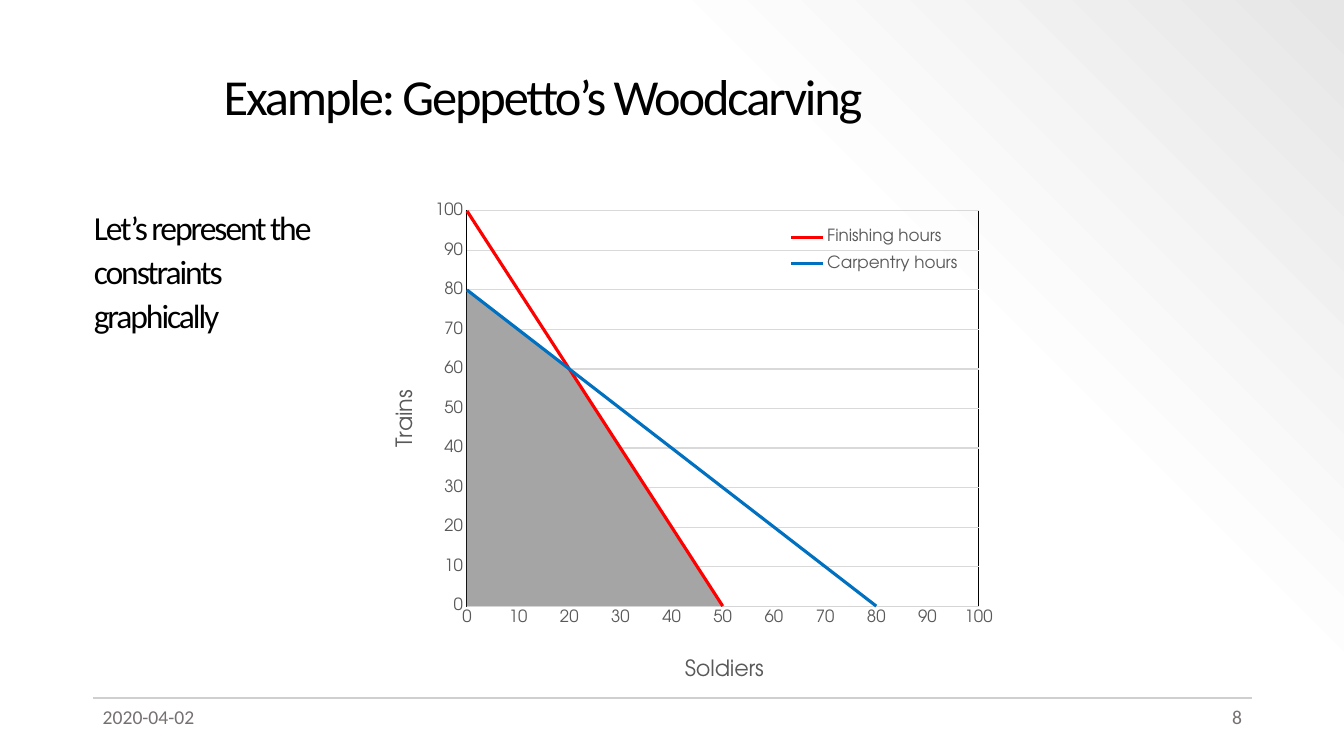
from lxml import etree
from pptx import Presentation
from pptx.chart.data import CategoryChartData
from pptx.dml.color import RGBColor
from pptx.enum.chart import XL_CHART_TYPE, XL_LEGEND_POSITION, XL_MARKER_STYLE, XL_TICK_MARK
from pptx.enum.shapes import MSO_CONNECTOR
from pptx.enum.text import MSO_ANCHOR, MSO_AUTO_SIZE, PP_ALIGN
from pptx.oxml import parse_xml
from pptx.oxml.ns import nsdecls, qn
from pptx.util import Cm, Pt

AREA = XL_CHART_TYPE.AREA
CORNER = XL_LEGEND_POSITION.CORNER
NO_MARKER = XL_MARKER_STYLE.NONE
NO_TICK = XL_TICK_MARK.NONE
STRAIGHT = MSO_CONNECTOR.STRAIGHT
TOP, MIDDLE = MSO_ANCHOR.TOP, MSO_ANCHOR.MIDDLE
NO_FIT = MSO_AUTO_SIZE.NONE
LEFT, RIGHT = PP_ALIGN.LEFT, PP_ALIGN.RIGHT

SOLDIERS = range(0, 101, 10)
FINISHING = [100 - 2 * soldiers if soldiers <= 50 else None for soldiers in SOLDIERS]
CARPENTRY = [80 - soldiers if soldiers <= 80 else None for soldiers in SOLDIERS]
FEASIBLE = [None if limit is None else min(limit, other)
            for limit, other in zip(FINISHING, CARPENTRY)]
REMAINDER = [limit if soldiers in (40, 50) else None
             for soldiers, limit in zip(SOLDIERS, FINISHING)]


def color(hex_string):
    return RGBColor.from_string(hex_string)


class SlideBuilder:
    text_font = "Calibri"
    chart_font = "TeX Gyre Adventor"
    black, gray, chart_gray, grid = "000000", "767171", "595959", "D9D9D9"

    def __init__(self, slide):
        self.slide = slide

    def style(self, font, name, size, hex_string):
        font.name, font.size, font.bold = name, Pt(size), False
        font.color.rgb = color(hex_string)

    def line(self, line_format, hex_string, width):
        line_format.color.rgb = color(hex_string)
        line_format.width = Pt(width)

    def background(self):
        stops = ((0, "FFFFFF"), (69, "FDFDFD"), (100, "E7E6E6"))
        gradient = "".join(f'<a:gs pos="{position * 1000}"><a:srgbClr val="{value}"/></a:gs>'
                           for position, value in stops)
        fill = self.slide.background.fill
        fill.solid()
        properties = self.slide._element.cSld.find(qn("p:bg")).find(qn("p:bgPr"))
        properties.replace(properties[0], parse_xml(
            f'<a:gradFill {nsdecls("a")} rotWithShape="1"><a:gsLst>{gradient}</a:gsLst>'
            f'<a:lin ang="{315 * 60000}" scaled="0"/></a:gradFill>'))

    def rule(self, left, top, width):
        connector = self.slide.shapes.add_connector(
            STRAIGHT, Cm(left), Cm(top), Cm(left + width), Cm(top))
        self.line(connector.line, "D0CECE", 1.5)
        etree.SubElement(connector._element.spPr, qn("a:effectLst"))

    def placeholder(self, shape, box, text, size, spacing, anchor, indent=0):
        shape.left, shape.top, shape.width, shape.height = map(Cm, box)
        frame = shape.text_frame
        frame.text, frame.vertical_anchor, frame.auto_size = text, anchor, NO_FIT
        paragraph = frame.paragraphs[0]
        properties = paragraph._p.get_or_add_pPr()
        properties.set("marL", str(Cm(indent)))
        properties.set("indent", "0")
        etree.SubElement(properties, qn("a:buNone"))
        paragraph.alignment, paragraph.line_spacing = LEFT, spacing
        paragraph.space_before = Pt(0)
        self.style(paragraph.font, self.text_font, size, self.black)
        paragraph.runs[0].font._element.set("spc", "-150")

    def footer(self, left, text, alignment):
        shape = self.slide.shapes.add_textbox(Cm(left), Cm(17.65), Cm(7.62), Cm(1.02))
        frame = shape.text_frame
        frame.word_wrap, frame.text = True, text
        paragraph = frame.paragraphs[0]
        paragraph.alignment = alignment
        self.style(paragraph.font, self.text_font, 14, self.gray)

    def layout(self, element, x, y, width=None, height=None):
        """Place a chart part by fractions of the chart."""
        for previous in element.findall(qn("c:layout")):
            element.remove(previous)
        inner = '<c:layoutTarget val="inner"/>' if element.tag == qn("c:plotArea") else ""
        values = {"x": x, "y": y, "w": width, "h": height}
        modes = '<c:xMode val="edge"/><c:yMode val="edge"/>'
        sizes = "".join(f'<c:{key} val="{value}"/>'
                        for key, value in values.items() if value is not None)
        layout = parse_xml(f'<c:layout {nsdecls("c")}><c:manualLayout>{inner}{modes}{sizes}'
                           '</c:manualLayout></c:layout>')
        if inner:
            element.insert(0, layout)
        else:
            element.find(qn("c:overlay")).addprevious(layout)

    def axis(self, axis, title, x, y):
        axis.major_tick_mark = axis.minor_tick_mark = NO_TICK
        self.style(axis.tick_labels.font, self.chart_font, 12, self.chart_gray)
        frame = axis.axis_title.text_frame
        frame.text = title
        self.style(frame.paragraphs[0].font, self.chart_font, 16, self.chart_gray)
        self.layout(axis.axis_title._element, x, y)

    def move_to_lines(self, plot_area, first):
        """Turn the series from index first onward into a line plot on the same axes."""
        area = plot_area.find(qn("c:areaChart"))
        lines = parse_xml(f'<c:lineChart {nsdecls("c")}><c:grouping val="standard"/>'
                          '<c:varyColors val="0"/><c:marker val="1"/></c:lineChart>')
        for series in area.findall(qn("c:ser"))[first:]:
            lines.find(qn("c:marker")).addprevious(series)
        for axis_id in area.findall(qn("c:axId")):
            etree.SubElement(lines, qn("c:axId"), val=axis_id.get("val"))
        area.addnext(lines)

    def chart(self, box, areas, lines):
        data = CategoryChartData()
        data.categories = [str(soldiers) for soldiers in SOLDIERS]
        for name, values, _ in areas + lines:
            data.add_series(name, values)
        chart = self.slide.shapes.add_chart(AREA, *map(Cm, box), data).chart
        chart.has_title = False
        self.style(chart.font, self.chart_font, 12, self.black)
        chart_element = chart._chartSpace.chart
        plot_area = chart_element.plotArea
        self.move_to_lines(plot_area, len(areas))
        chart_element.find(qn("c:dispBlanksAs")).set("val", "gap")

        # Series colours
        area_plot, line_plot = chart.plots
        area_plot.vary_by_categories = line_plot.vary_by_categories = False
        for series, (_, _, value) in zip(area_plot.series, areas):
            series.format.fill.solid()
            series.format.fill.fore_color.rgb = color(value)
        for series, (_, _, value) in zip(line_plot.series, lines):
            self.line(series.format.line, value, 2.25)
            series.marker.style, series.smooth = NO_MARKER, False

        # Axes and plot frame
        horizontal, vertical = chart.category_axis, chart.value_axis
        self.axis(horizontal, "Soldiers", 0.49, 0.93)
        self.axis(vertical, "Trains", 0.03, 0.39)
        horizontal.has_major_gridlines = False
        self.line(horizontal.format.line, self.grid, 0.75)
        vertical.minimum_scale, vertical.maximum_scale, vertical.major_unit = 0, 100, 10
        vertical.format.line.fill.background()
        self.line(vertical.major_gridlines.format.line, self.grid, 0.75)
        vertical._element.find(qn("c:crossBetween")).set("val", "midCat")
        self.layout(plot_area, 0.153, 0.035, 0.806, 0.8)
        plot_area.append(parse_xml(
            f'<c:spPr {nsdecls("c", "a")}><a:noFill/><a:ln w="{Pt(0.75)}"><a:solidFill>'
            f'<a:srgbClr val="{self.black}"/></a:solidFill></a:ln></c:spPr>'))

        # Legend for the lines only
        chart.has_legend = True
        legend = chart.legend
        legend.position, legend.include_in_layout = CORNER, True
        self.style(legend.font, self.chart_font, 12, self.chart_gray)
        for index in reversed(range(len(areas))):
            legend._element.find(qn("c:legendPos")).addnext(parse_xml(
                f'<c:legendEntry {nsdecls("c")}><c:idx val="{index}"/>'
                '<c:delete val="1"/></c:legendEntry>'))
        self.layout(legend._element, 0.65, 0.05, 0.29, 0.13)


def main():
    presentation = Presentation()
    presentation.slide_width, presentation.slide_height = Cm(33.87), Cm(19.05)
    slide = presentation.slides.add_slide(presentation.slide_layouts[1])
    builder = SlideBuilder(slide)

    # Background and footer
    builder.background()
    builder.rule(2.34, 17.58, 29.21)
    builder.footer(2.34, "2020-04-02", LEFT)
    builder.footer(23.93, "8", RIGHT)

    # Constraints chart
    builder.chart((9.32, 4.88, 16, 12.45),
                  [("Series 1", FEASIBLE, "A5A5A5"), ("Series 2", REMAINDER, "FFFFFF")],
                  [("Finishing hours", FINISHING, "FF0000"),
                   ("Carpentry hours", CARPENTRY, "0070C0")])

    # Title and text
    builder.placeholder(slide.shapes.title, (5.38, 0.94, 26.16, 3.1),
                        "Example: Geppetto’s Woodcarving", 36, 0.9, MIDDLE)
    builder.placeholder(slide.placeholders[1], (1.98, 4.98, 7.09, 4.24),
                        "Let’s represent the constraints graphically", 24, 1.1, TOP, 0.13)

    presentation.save("out.pptx")


if __name__ == "__main__":
    main()
